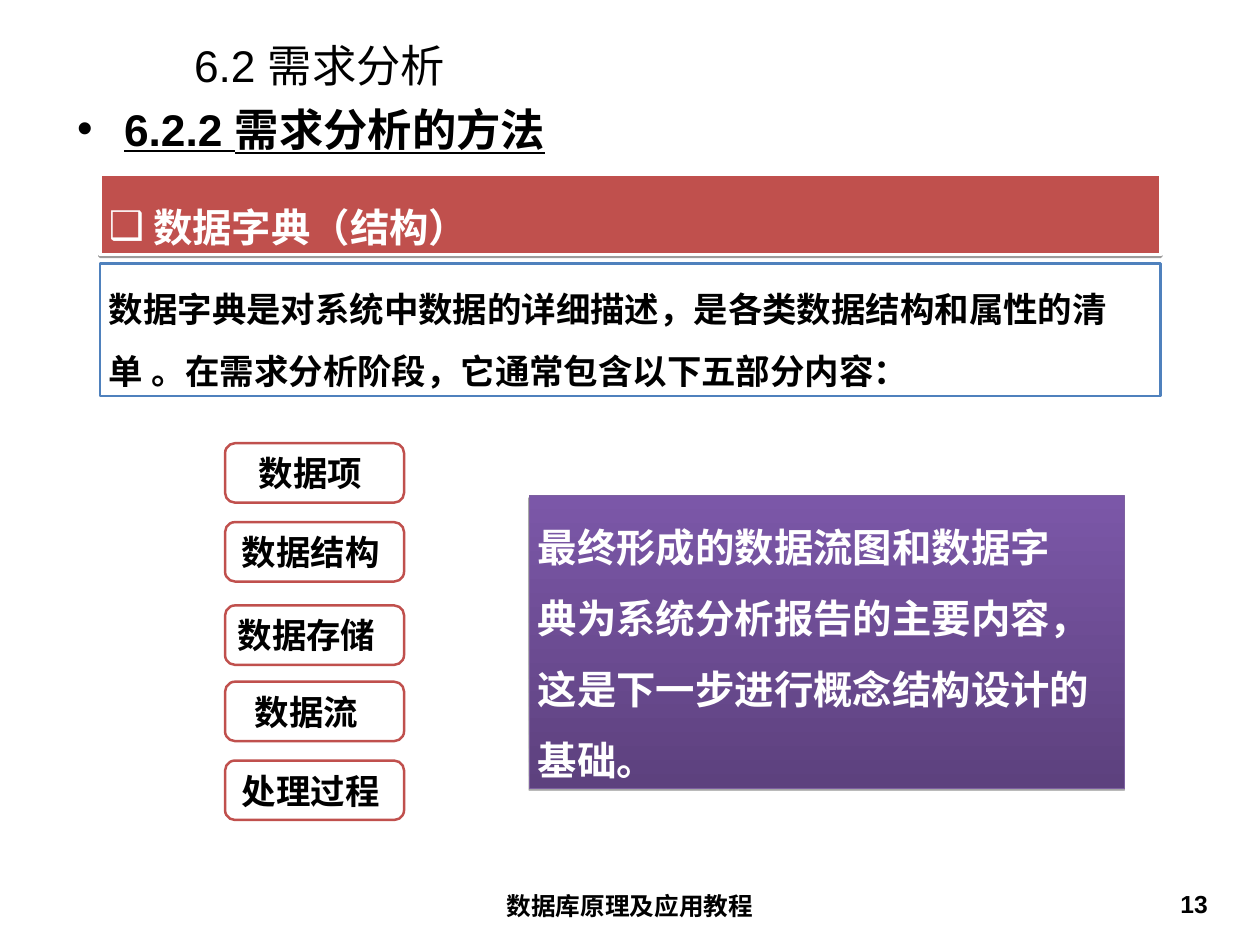
from dataclasses import dataclass

from lxml.etree import SubElement
from pptx import Presentation
from pptx.dml.color import RGBColor
from pptx.enum.shapes import MSO_SHAPE
from pptx.enum.text import MSO_ANCHOR, MSO_AUTO_SIZE, PP_ALIGN
from pptx.oxml.ns import qn
from pptx.util import Pt

# Content: boxes are left, top, width, height in px (100 px to the inch)
SLIDE_SIZE = (1422, 1066)
TITLE = ("6.2 需求分析", (205, 45, 1183, 57))
HEADING = ("6.2.2 需求分析的方法", (73, 108, 1280, 89))
FOOTER = ("数据库原理及应用教程", (486, 998, 450, 55))
PAGE_NUMBER = ("13", (1041, 998, 332, 55))
BANNER = ("数据字典（结构）", (113, 197, 1197, 90))
DEFINITION = (
    "数据字典是对系统中数据的详细描述，是各类数据结构和属性的清单 。"
    "在需求分析阶段，它通常包含以下五部分内容：",
    (113, 297, 1197, 150),
)
CONCLUSION = (
    "最终形成的数据流图和数据字\n"
    "典为系统分析报告的主要内容，这是下一步进行概念结构设计的基础。",
    (597, 559, 672, 330),
)
# Label, top, extra right inset
PARTS = [
    ("数据项", 500, 9),
    ("数据结构", 589, 9),
    ("数据存储", 683, 18),
    ("数据流", 769, 18),
    ("处理过程", 858, 9),
]
PART_LEFT, PART_WIDTH, PART_HEIGHT = 254, 202, 67
WIDE_INSETS = (14, 7, 14, 7)
NARROW_INSETS = (10, 5, 10, 5)
# Wider right inset keeps the full stop inside the definition box
DEFINITION_INSETS = (10, 5, 40, 5)


@dataclass(frozen=True)
class Theme:
    font: str = "Arial"
    black: str = "000000"
    white: str = "FFFFFF"
    red: str = "C0504D"
    blue: str = "4F81BD"
    purple_line: str = "7D60A0"
    purple_dark: str = "5D417E"
    purple_light: str = "7B57A8"
    title_size: int = 36
    banner_size: int = 32
    body_size: int = 28
    footer_size: int = 20


THEME = Theme()


def px(length):
    return length * 9144


def color(value):
    return RGBColor.from_string(value)


def place(shape, box):
    shape.left, shape.top, shape.width, shape.height = map(px, box)


def add_bullet(paragraph, character, value, indent):
    properties = paragraph._p.get_or_add_pPr()
    properties.set("marL", str(px(indent)))
    properties.set("indent", str(-px(indent)))
    bullet_color = SubElement(properties, qn("a:buClr"))
    SubElement(bullet_color, qn("a:srgbClr"), val=value)
    SubElement(properties, qn("a:buFont"), typeface=THEME.font)
    SubElement(properties, qn("a:buChar"), char=character)


def write(shape, text, size, value=THEME.black, bold=True, underline=None,
          align=PP_ALIGN.LEFT, anchor=MSO_ANCHOR.TOP, insets=WIDE_INSETS,
          spacing=None, bullet=None, wrap=True):
    frame = shape.text_frame
    frame.text = text
    frame.word_wrap = wrap
    frame.auto_size = MSO_AUTO_SIZE.NONE
    frame.vertical_anchor = anchor
    (frame.margin_left, frame.margin_top,
     frame.margin_right, frame.margin_bottom) = map(px, insets)
    for paragraph in frame.paragraphs:
        paragraph.alignment = align
        if spacing:
            paragraph.line_spacing = spacing
        if bullet:
            character, indent = bullet
            add_bullet(paragraph, character, value, indent)
        for run in paragraph.runs:
            font = run.font
            font.name, font.size = THEME.font, Pt(size)
            font.bold, font.underline = bold, underline
            font.color.rgb = color(value)


def add_text(slide, content, size, **style):
    text, box = content
    write(slide.shapes.add_textbox(*map(px, box)), text, size, **style)


def add_box(slide, kind, box, line, line_width, fill=None):
    shape = slide.shapes.add_shape(kind, *map(px, box))
    shape.shadow.inherit = False
    if fill:
        shape.fill.solid()
        shape.fill.fore_color.rgb = color(fill)
    shape.line.color.rgb = color(line)
    shape.line.width = Pt(line_width)
    return shape


def add_shadow(shape, distance, opacity):
    effects = shape._element.spPr.find(qn("a:effectLst"))
    shadow = SubElement(effects, qn("a:outerShdw"), blurRad="0",
                        dist=str(Pt(distance)), dir="5400000", rotWithShape="0")
    shade = SubElement(shadow, qn("a:srgbClr"), val=THEME.black)
    SubElement(shade, qn("a:alpha"), val=str(opacity * 1000))


def main():
    presentation = Presentation()
    presentation.slide_width, presentation.slide_height = map(px, SLIDE_SIZE)
    slide = presentation.slides.add_slide(presentation.slide_layouts[5])

    # Title, heading and footer
    title_text, title_box = TITLE
    place(slide.shapes.title, title_box)
    write(slide.shapes.title, title_text, THEME.title_size, bold=False,
          anchor=MSO_ANCHOR.MIDDLE)
    add_text(slide, HEADING, THEME.title_size, underline=True, bullet=("•", 53))
    add_text(slide, FOOTER, THEME.footer_size, align=PP_ALIGN.CENTER)
    add_text(slide, PAGE_NUMBER, THEME.footer_size, align=PP_ALIGN.RIGHT,
             insets=NARROW_INSETS)

    # Banner and definition
    text, box = BANNER
    banner = add_box(slide, MSO_SHAPE.RECTANGLE, box, THEME.white, 3, THEME.red)
    add_shadow(banner, 1.6, 38)
    write(banner, text, THEME.banner_size, THEME.white, insets=NARROW_INSETS,
          spacing=1.5, bullet=("❑", 50))
    text, box = DEFINITION
    definition = add_box(slide, MSO_SHAPE.RECTANGLE, box, THEME.blue, 2, THEME.white)
    write(definition, text, THEME.body_size, insets=DEFINITION_INSETS, spacing=1.5)

    # Five parts of the dictionary
    left, top_inset, right, bottom = WIDE_INSETS
    for label, top, extra in PARTS:
        part = add_box(slide, MSO_SHAPE.FLOWCHART_ALTERNATE_PROCESS,
                       (PART_LEFT, top, PART_WIDTH, PART_HEIGHT),
                       THEME.red, 2, THEME.white)
        write(part, label, THEME.body_size, align=PP_ALIGN.CENTER,
              anchor=MSO_ANCHOR.MIDDLE, wrap=False,
              insets=(left, top_inset, right + extra, bottom))

    # Conclusion panel
    text, box = CONCLUSION
    panel = add_box(slide, MSO_SHAPE.RECTANGLE, box, THEME.purple_line, 0.75)
    panel.fill.gradient()
    panel.fill.gradient_angle = 90
    for stop, value in zip(panel.fill.gradient_stops,
                           (THEME.purple_dark, THEME.purple_light)):
        stop.color.rgb = color(value)
    add_shadow(panel, 1.8, 35)
    write(panel, text, THEME.banner_size, THEME.white, insets=NARROW_INSETS,
          spacing=1.5)

    presentation.save("out.pptx")


if __name__ == "__main__":
    main()
